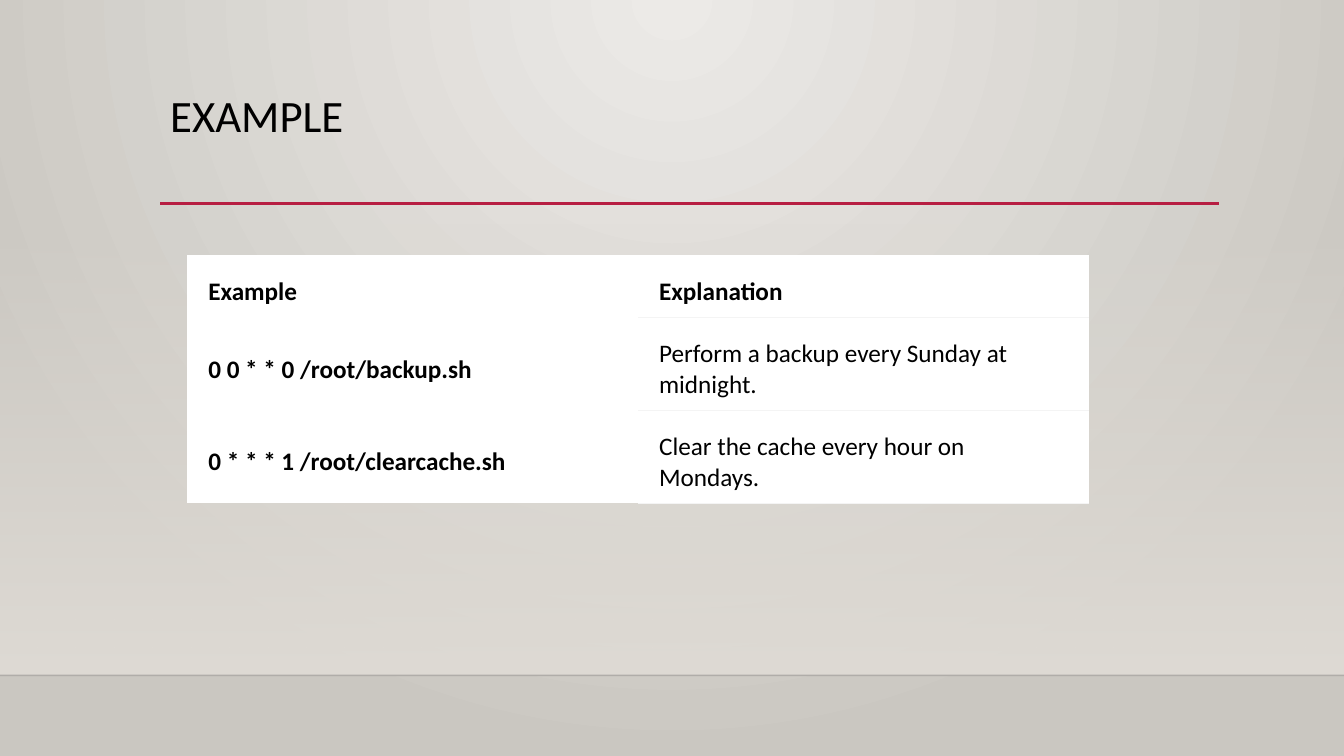
"""Build the cron example slide: title, rule and a two-column table."""
from lxml.etree import SubElement
from pptx import Presentation
from pptx.dml.color import RGBColor
from pptx.enum.shapes import MSO_CONNECTOR, MSO_SHAPE
from pptx.enum.text import MSO_ANCHOR
from pptx.oxml import parse_xml
from pptx.oxml.ns import nsdecls, qn
from pptx.util import Cm, Pt


def rgb(color):
    return RGBColor.from_string(color)


def write(tf, text, size=18, bold=False, color="000000", spacing=1.0):
    tf.word_wrap = True
    p = tf.paragraphs[0]
    p.line_spacing = spacing
    r = p.add_run()
    r.text = text
    r.font.name = "Calibri"
    r.font.size = Pt(size)
    r.font.bold = bold
    r.font.color.rgb = rgb(color)


prs = Presentation()
prs.slide_width, prs.slide_height = Cm(33.87), Cm(19.05)
s = prs.slides.add_slide(prs.slide_layouts[6])

panel = s.shapes.add_shape(MSO_SHAPE.RECTANGLE, 0, Cm(5.61), prs.slide_width, Cm(11.41))
panel.shadow.inherit = False
panel.line.fill.background()

for fill, colors in ((s.background.fill, ("ECEAE7", "CAC7C1")),
                     (panel.fill, ("DFDBD5", "DFDBD5"))):
    fill.gradient()
    for stop, position, color in zip(fill.gradient_stops, (0, 1), colors):
        stop.position = position
        stop.color.rgb = rgb(color)

panel.fill.gradient_angle = 270
first_color = next(panel.element.iter(qn("a:srgbClr")))
SubElement(first_color, qn("a:alpha"), val="0")

linear = next(s.element.iter(qn("a:lin")))
linear.getparent().replace(linear, parse_xml(
    f'<a:path {nsdecls("a")} path="circle">'
    '<a:fillToRect l="43000" t="0" r="43000" b="100000"/></a:path>'))

for left, right, y, color, width, alpha in (
        (0, 33.87, 17.02, "000001", 1, 20),
        (4.04, 30.73, 5.13, "B71E42", 2.5, 100)):
    rule = s.shapes.add_connector(MSO_CONNECTOR.STRAIGHT, Cm(left), Cm(y), Cm(right), Cm(y))
    rule.line.color.rgb = rgb(color)
    rule.line.width = Pt(width)
    SubElement(next(rule.element.iter(qn("a:srgbClr"))), qn("a:alpha"), val=str(alpha * 1000))
    SubElement(rule.element.spPr, qn("a:effectLst"))

title = s.shapes.add_textbox(Cm(4.04), Cm(2.24), Cm(26.67), Cm(2.92))
write(title.text_frame, "EXAMPLE", size=32, spacing=0.9)

rows = (("Example", "Explanation"),
        ("0 0 * * 0 /root/backup.sh", "Perform a backup every Sunday at midnight."),
        ("0 * * * 1 /root/clearcache.sh", "Clear the cache every hour on Mondays."))
heights = (1.57, 2.34, 2.34)
frame = s.shapes.add_table(len(rows), 2, Cm(4.72), Cm(6.43), Cm(22.72), Cm(sum(heights)))
table = frame.table
table.first_row = table.horz_banding = False
next(frame.element.iter(qn("a:tableStyleId"))).text = "{2D5ABB26-0587-4C30-8999-92F81FD0307C}"

for i, (texts, height) in enumerate(zip(rows, heights)):
    table.rows[i].height = Cm(height)
    for j, text in enumerate(texts):
        cell = table.cell(i, j)
        cell.vertical_anchor = MSO_ANCHOR.MIDDLE
        cell.margin_left = cell.margin_right = cell.margin_top = Cm(0.53)
        cell.margin_bottom = Cm(0.25)
        cell.fill.solid()
        cell.fill.fore_color.rgb = rgb("FFFFFF")
        write(cell.text_frame, text, bold=i == 0 or j == 0)
        if j == 1:
            for side in ("lnB", "lnT") if i else ("lnB",):
                cell._tc.tcPr.insert(0, parse_xml(
                    f'<a:{side} {nsdecls("a")} w="9525"><a:solidFill>'
                    f'<a:srgbClr val="F4F4F4"/></a:solidFill></a:{side}>'))

prs.save("out.pptx")
